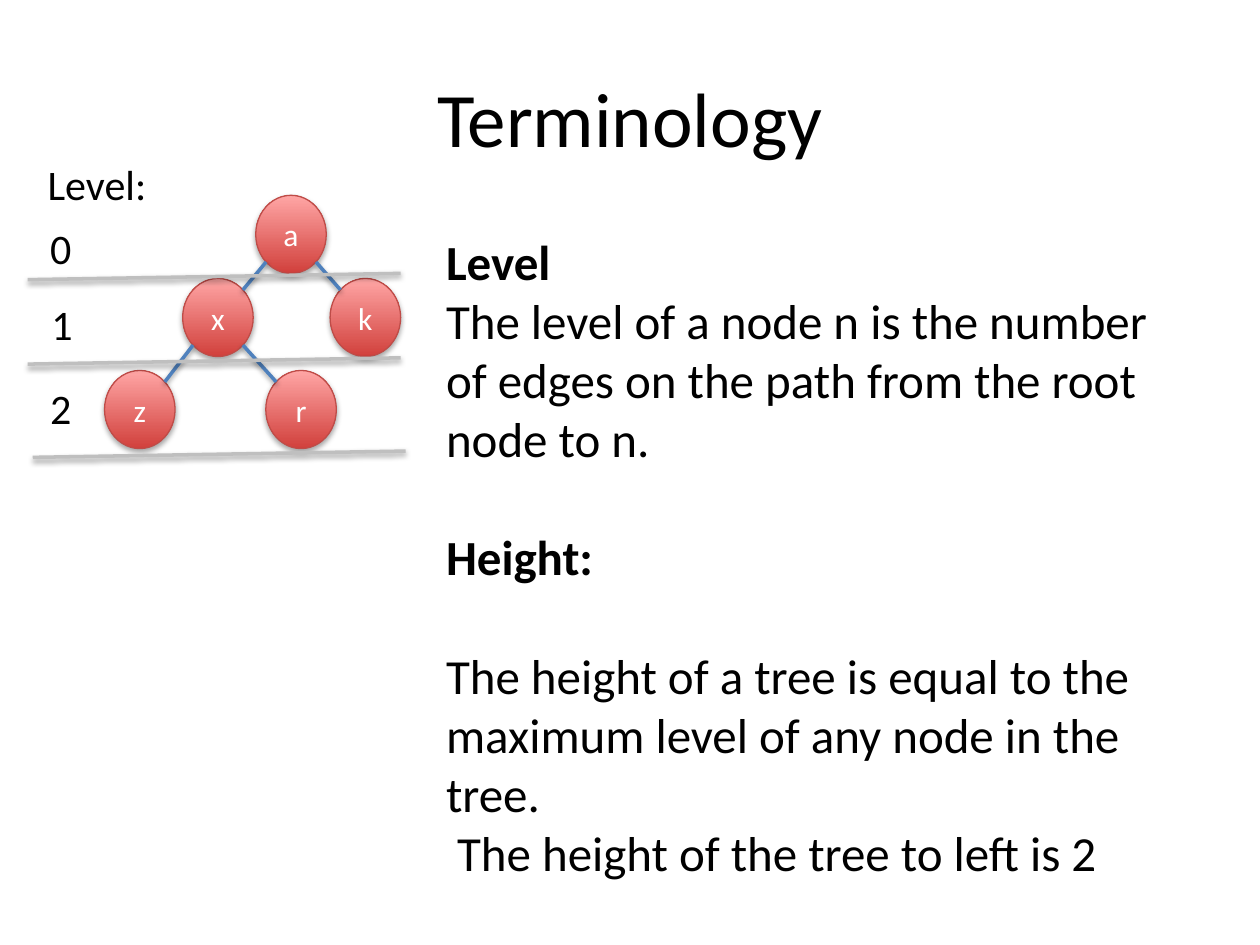
from dataclasses import dataclass
from math import cos, pi, sin

from lxml.etree import SubElement
from pptx import Presentation
from pptx.dml.color import RGBColor as Rgb
from pptx.enum.shapes import MSO_CONNECTOR as Link, MSO_SHAPE as Preset
from pptx.enum.text import MSO_ANCHOR as Anchor, MSO_AUTO_SIZE as AutoSize, PP_ALIGN as Align
from pptx.oxml.ns import qn
from pptx.util import Emu, Inches, Pt


@dataclass(frozen=True)
class Theme:
    font: str = "Calibri"
    ink: str = "000000"
    node_ink: str = "FFFFFF"
    node_dark: str = "D1403C"
    node_light: str = "FFA6A5"
    node_line: str = "BF4C48"
    edge: str = "4F81BD"
    divider: str = "BFBFBF"
    title_size: int = 44
    body_size: int = 28
    label_size: int = 24
    node_size: int = 18


@dataclass(frozen=True)
class Box:
    column: float
    row: float
    columns: float
    rows: float

    def inner(self, column, row, columns, rows):
        return Box(self.column + column, self.row + row, columns, rows)

    def point(self, column, row):
        return grid(self.column + column), grid(self.row + row)

    def frame(self):
        return [grid(n) for n in (self.column, self.row, self.columns, self.rows)]


THEME = Theme()
COLUMNS, ROWS = 100, 75
UNIT = Inches(10) / COLUMNS
NODE_WIDTH, NODE_HEIGHT = 5.6, 6.2
NODES = {"k": (27, 13.2), "a": (21.1, 6.6), "x": (15.3, 13.2), "z": (9.1, 20.5), "r": (21.9, 20.5)}
EDGES = ("ax", "ak", "xz", "xr")
DIVIDERS = ((0.2, 10.2), (0.2, 16.9), (0.6, 24.3))
LABELS = (("0", 1, 5.2, 3.7), ("1", 1.1, 11.2, 3.7), ("2", 1, 17.9, 3.7), ("Level:", 0.8, 0.1, 10))


def grid(count):
    return Emu(round(count * UNIT))


def add_span(para, text, size, color=THEME.ink, bold=False):
    span = para.add_run()
    span.text = text
    font = span.font
    font.name, font.size, font.bold = THEME.font, Pt(size), bold
    font.color.rgb = Rgb.from_string(color)


def place(shape, box):
    shape.left, shape.top, shape.width, shape.height = box.frame()


def add_shadow(effects, opacity, distance):
    shadow = SubElement(effects, qn("a:outerShdw"), blurRad=str(Pt(3.1)), dist=str(Pt(distance)),
                        dir="5400000", rotWithShape="0")
    color = SubElement(shadow, qn("a:srgbClr"), val="000000")
    SubElement(color, qn("a:alpha"), val=str(opacity * 1000))


def add_line(shapes, start, end, color):
    line = shapes.add_connector(Link.STRAIGHT, *start, *end)
    line.line.color.rgb = Rgb.from_string(color)
    line.line.width = Pt(2)
    add_shadow(SubElement(line._element.spPr, qn("a:effectLst")), 38, 1.6)


def add_node(shapes, box, name):
    node = shapes.add_shape(Preset.OVAL, *box.frame())
    node.fill.gradient()
    node.fill.gradient_angle = 90
    for stop, color in zip(node.fill.gradient_stops, (THEME.node_dark, THEME.node_light)):
        stop.color.rgb = Rgb.from_string(color)
    node.line.color.rgb = Rgb.from_string(THEME.node_line)
    node.line.width = Pt(0.75)
    node.shadow.inherit = False
    add_shadow(node._element.spPr.find(qn("a:effectLst")), 35, 1.8)
    frame = node.text_frame
    frame.margin_left = frame.margin_right = 0
    frame.vertical_anchor = Anchor.MIDDLE
    frame.paragraphs[0].alignment = Align.CENTER
    add_span(frame.paragraphs[0], name, THEME.node_size, THEME.node_ink)


def add_tree(page, box):
    shapes = page.shapes.add_group_shape().shapes
    for name, (column, row) in NODES.items():
        add_node(shapes, box.inner(column - NODE_WIDTH / 2, row - NODE_HEIGHT / 2,
                                   NODE_WIDTH, NODE_HEIGHT), name)
    reach_x, reach_y = NODE_WIDTH / 2 * cos(pi / 4), NODE_HEIGHT / 2 * sin(pi / 4)
    for parent, child in EDGES:
        (x1, y1), (x2, y2) = NODES[parent], NODES[child]
        side = 1 if x2 > x1 else -1
        add_line(shapes, box.point(x1 + side * reach_x, y1 + reach_y),
                 box.point(x2 - side * reach_x, y2 - reach_y), THEME.edge)


def add_levels(page, box):
    for column, row in DIVIDERS:
        add_line(page.shapes, box.point(column + 29.6, row - 0.5), box.point(column, row), THEME.divider)
    for text, column, row, columns in LABELS:
        label = page.shapes.add_textbox(*box.inner(column, row, columns, 5).frame())
        label.text_frame.word_wrap = False
        label.text_frame.auto_size = AutoSize.SHAPE_TO_FIT_TEXT
        add_span(label.text_frame.paragraphs[0], text, THEME.label_size)


def fill_title(title, box):
    place(title, box)
    frame = title.text_frame
    frame.vertical_anchor = Anchor.MIDDLE
    frame.paragraphs[0].alignment = Align.CENTER
    add_span(frame.paragraphs[0], "Terminology", THEME.title_size)


def fill_definitions(body, box):
    place(body, box)
    frame = body.text_frame
    frame.word_wrap = True
    frame.auto_size = AutoSize.NONE
    frame.vertical_anchor = Anchor.TOP
    gap = THEME.body_size * 1.22
    definitions = (
        (("Level",), True, 0),
        (("The level of a node n is the number of edges on the path from the root node to n.",), False, 0),
        (("Height:",), True, gap),
        (("The height of a tree is equal to the maximum level of any node in the tree.",
          " The height of the tree to left is 2"), False, gap),
    )
    for index, (lines, bold, before) in enumerate(definitions):
        para = frame.add_paragraph() if index else frame.paragraphs[0]
        settings = para._p.get_or_add_pPr()
        settings.set("marL", "0")
        settings.set("indent", "0")
        SubElement(settings, qn("a:buNone"))
        para.alignment = Align.LEFT
        para.space_before = Pt(before)
        for number, text in enumerate(lines):
            if number:
                para.add_line_break()
            add_span(para, text, THEME.body_size, bold=bold)


def main():
    deck = Presentation()
    deck.slide_width, deck.slide_height = grid(COLUMNS), grid(ROWS)
    page = deck.slides.add_slide(deck.slide_layouts[1])
    diagram = Box(2, 12, 31, 25)
    fill_title(page.shapes.title, Box(5, 3, 90, 12.5))
    fill_definitions(page.placeholders[1], Box(34.4, 17.9, 60.6, 52.8))
    add_tree(page, diagram)
    add_levels(page, diagram)
    deck.save("out.pptx")


if __name__ == "__main__":
    main()
